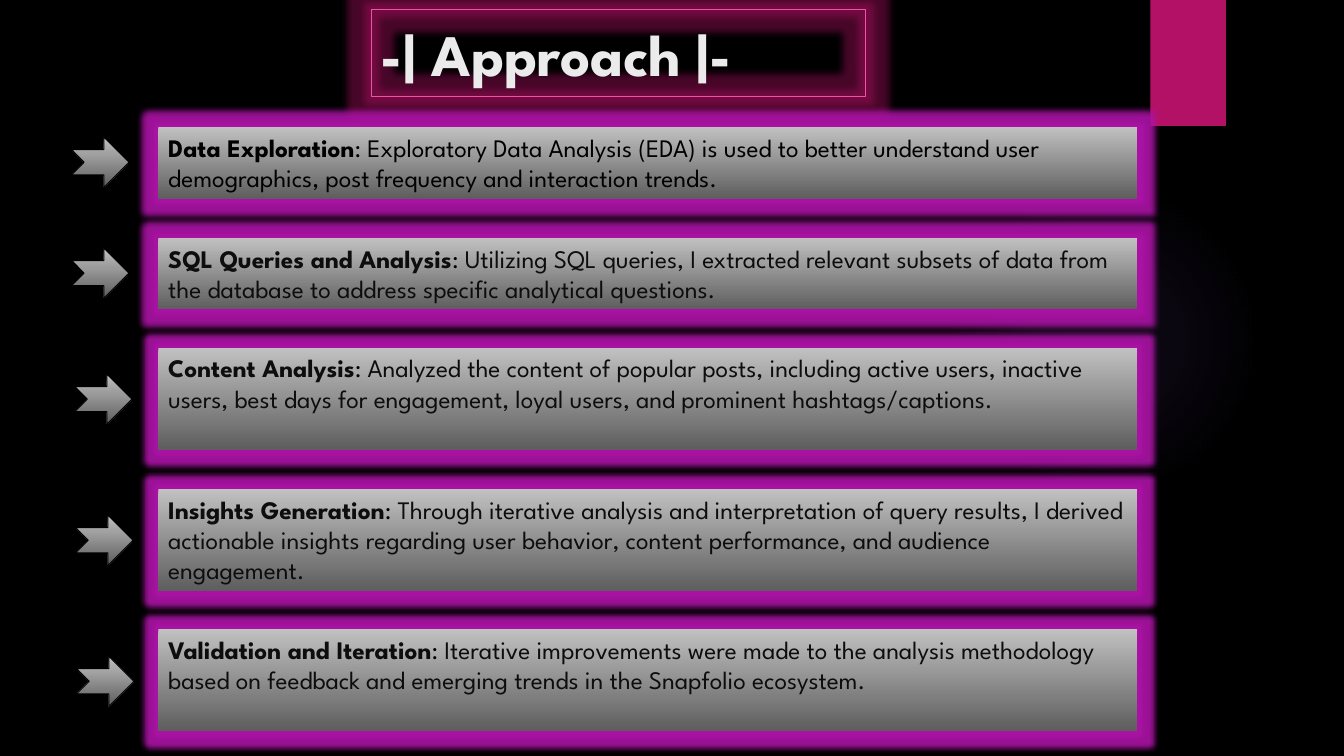
from lxml import etree
from pptx import Presentation
from pptx.dml.color import RGBColor
from pptx.enum import shapes, text
from pptx.oxml import ns, parse_xml
from pptx.util import Inches, Pt

FONT = "League Spartan"
COLORS = {
    "background": "000000",
    "halo": "9B6BF2",
    "ribbon": "B31166",
    "title": "EBEBEB",
    "title_line": "EF53A5",
    "title_glow": "B31166",
    "panel_glow": "AC13A6",
    "grey_top": "C1C1C1",
    "grey_bottom": "5E5E5E",
    "ink": "0D0D0D",
    "black": "000000",
}
STEPS = [
    ("Data Exploration", "Exploratory Data Analysis (EDA) is used to better understand user "
     "demographics, post frequency and interaction trends.", "black", 1.26, 0.71, 0.71, 1.36),
    ("SQL Queries and Analysis", "Utilizing SQL queries, I extracted relevant subsets of data from "
     "the database to address specific analytical questions.", "ink", 2.36, 0.71, 0.71, 2.46),
    ("Content Analysis", "Analyzed the content of popular posts, including active users, inactive "
     "users, best days for engagement, loyal users, and prominent hashtags/captions.",
     "ink", 3.45, 1.01, 0.74, 3.71),
    ("Insights Generation", "Through iterative analysis and interpretation of query results, I "
     "derived actionable insights regarding user behavior, content performance, and audience "
     "engagement.", "ink", 4.85, 1.01, 0.75, 5.11),
    ("Validation and Iteration", "Iterative improvements were made to the analysis methodology "
     "based on feedback and emerging trends in the Snapfolio ecosystem.",
     "ink", 6.24, 1.01, 0.76, 6.51),
]


def rgb(name):
    return RGBColor.from_string(COLORS[name])


def add_box(s, kind, x, y, w, h):
    sp = s.shapes.add_shape(kind, Inches(x), Inches(y), Inches(w), Inches(h))
    sp.shadow.inherit = False
    sp.fill.background()
    sp.line.fill.background()
    return sp


def add_glow(sp, color, radius, alpha):
    effects = sp._element.spPr.find(ns.qn("a:effectLst"))
    glow = etree.SubElement(effects, ns.qn("a:glow"), rad=str(Pt(radius)))
    clr = etree.SubElement(glow, ns.qn("a:srgbClr"), val=COLORS[color])
    etree.SubElement(clr, ns.qn("a:alpha"), val=str(alpha * 1000))


def fill_grey(sp):
    sp.fill.gradient()
    sp.fill.gradient_angle = 270
    for stop, color in zip(sp.fill.gradient_stops, ("grey_top", "grey_bottom")):
        stop.color.rgb = rgb(color)


def set_line(sp, color, width):
    sp.line.color.rgb = rgb(color)
    sp.line.width = Pt(width)


def add_run(p, words, size, color, bold):
    r = p.add_run()
    r.text = words
    r.font.name = FONT
    r.font.size = Pt(size)
    r.font.bold = bold
    r.font.color.rgb = rgb(color)


def first_paragraph(sp, anchor):
    tf = sp.text_frame
    tf.word_wrap = True
    tf.vertical_anchor = anchor
    p = tf.paragraphs[0]
    p.alignment = text.PP_ALIGN.LEFT
    return p


def add_halo(s):
    sp = add_box(s, shapes.MSO_SHAPE.OVAL, 9.41, 1.83, 3.08, 3.08)
    stops = "".join(
        f'<a:gs pos="{pos * 1000}"><a:srgbClr val="{COLORS["halo"]}">'
        f'<a:alpha val="{alpha * 1000}"/></a:srgbClr></a:gs>'
        for pos, alpha in ((0, 7), (36, 6), (69, 0)))
    gradient = parse_xml(
        f'<a:gradFill {ns.nsdecls("a")}><a:gsLst>{stops}</a:gsLst><a:path path="circle">'
        '<a:fillToRect l="50000" t="50000" r="50000" b="50000"/></a:path></a:gradFill>')
    spPr = sp._element.spPr
    spPr.replace(spPr.find(ns.qn("a:noFill")), gradient)


def add_ribbon(s):
    sp = add_box(s, shapes.MSO_SHAPE.RECTANGLE, 11.41, 0, 0.75, 1.25)
    sp.fill.solid()
    sp.fill.fore_color.rgb = rgb("ribbon")


def add_title(s):
    sp = add_box(s, shapes.MSO_SHAPE.RECTANGLE, 3.68, 0.09, 4.9, 0.87)
    set_line(sp, "title_line", 0.5)
    add_glow(sp, "title_glow", 11, 40)
    p = first_paragraph(sp, text.MSO_ANCHOR.MIDDLE)
    add_run(p, "-| Approach |-", 42, "title", True)


def add_panel(s, heading, body, color, y, h):
    sp = add_box(s, shapes.MSO_SHAPE.RECTANGLE, 1.57, y, 9.71, h)
    fill_grey(sp)
    add_glow(sp, "panel_glow", 8, 90)
    p = first_paragraph(sp, text.MSO_ANCHOR.TOP)
    add_run(p, heading, 18, color, True)
    add_run(p, ": ", 18, "black", False)
    add_run(p, body, 18, color, False)


def add_arrow(s, x, y):
    sp = add_box(s, shapes.MSO_SHAPE.NOTCHED_RIGHT_ARROW, x, y, 0.57, 0.5)
    fill_grey(sp)
    set_line(sp, "black", 0.75)


def main():
    prs = Presentation()
    prs.slide_width, prs.slide_height = Inches(13.33), Inches(7.5)
    s = prs.slides.add_slide(prs.slide_layouts[6])
    s.background.fill.solid()
    s.background.fill.fore_color.rgb = rgb("background")
    add_halo(s)
    add_ribbon(s)
    add_title(s)
    for heading, body, color, y, h, arrow_x, arrow_y in STEPS:
        add_panel(s, heading, body, color, y, h)
        add_arrow(s, arrow_x, arrow_y)
    prs.save("out.pptx")


if __name__ == "__main__":
    main()
